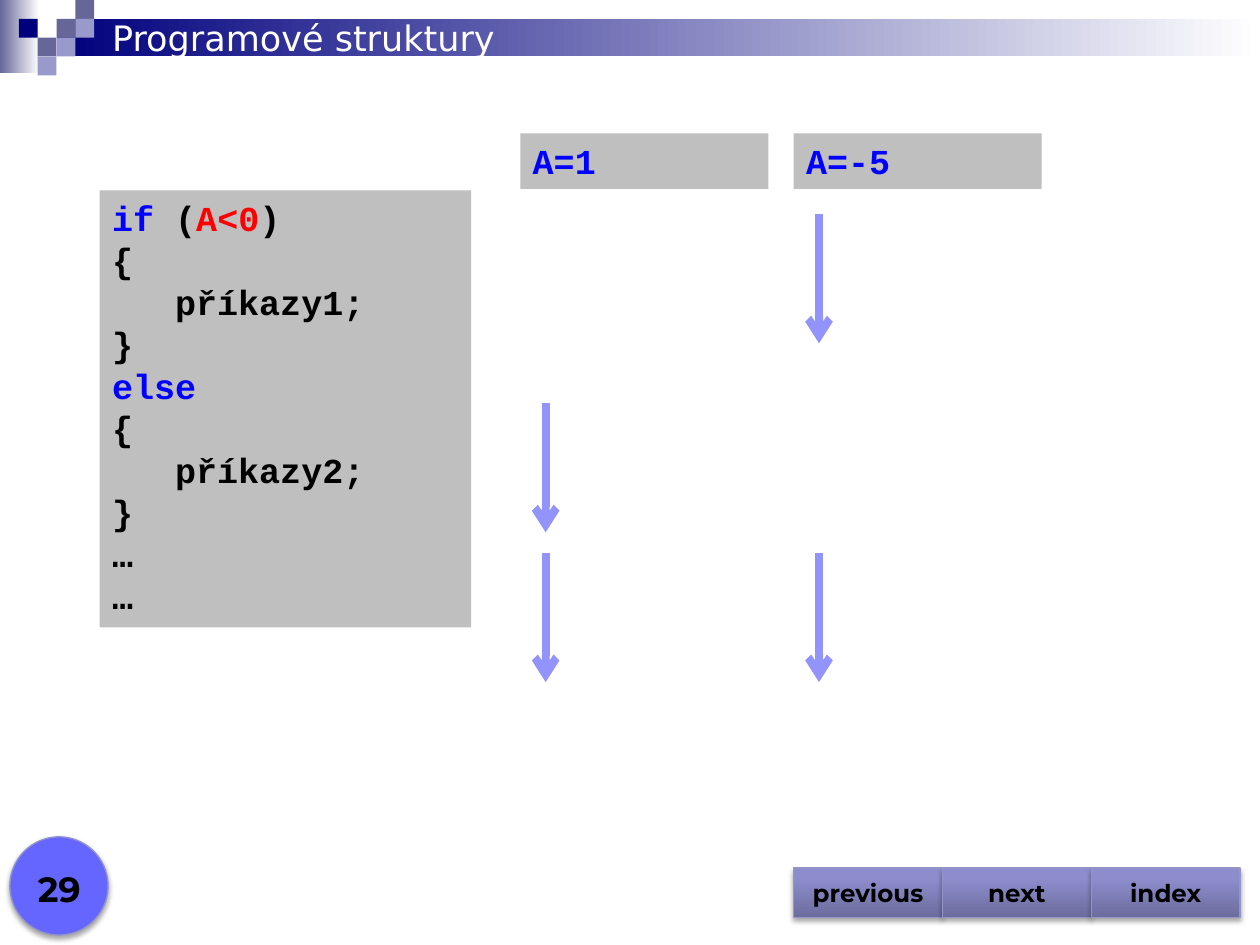
from copy import deepcopy
from dataclasses import dataclass

from lxml import etree
from pptx import Presentation
from pptx.dml.color import RGBColor
from pptx.enum.shapes import MSO_CONNECTOR, MSO_SHAPE
from pptx.enum.text import MSO_ANCHOR, PP_ALIGN
from pptx.oxml.ns import qn
from pptx.util import Cm, Pt

RECT, OVAL, BUTTON = MSO_SHAPE.RECTANGLE, MSO_SHAPE.OVAL, MSO_SHAPE.ACTION_BUTTON_CUSTOM
STRAIGHT = MSO_CONNECTOR.STRAIGHT
LEFT, CENTER = PP_ALIGN.LEFT, PP_ALIGN.CENTER
TOP, MIDDLE, BOTTOM = MSO_ANCHOR.TOP, MSO_ANCHOR.MIDDLE, MSO_ANCHOR.BOTTOM


@dataclass(frozen=True)
class Theme:
    navy: str = "00007D"
    slate: str = "666699"
    lilac: str = "9999CC"
    white: str = "FFFFFF"
    black: str = "000000"
    panel: str = "BFBFBF"
    keyword: str = "0000FF"
    condition: str = "FF0000"
    arrow: str = "9393FC"
    badge: str = "6565FF"
    edge: str = "9494C9"
    button: tuple = ((0, "6C6C9E"), (0.8, "8D8DCD"), (1, "8C8CCF"))
    code_font: str = "Courier New"
    title_font: str = "DejaVu Sans"
    label_font: str = "Montserrat"
    large: int = 20
    small: int = 14


class SlideBuilder:
    """Draws themed elements on one slide, with lengths in centimetres."""

    def __init__(self, slide, theme):
        self.shapes = slide.shapes
        self.theme = theme

    def block(self, box, fill, kind=RECT, raised=False, angle=0):
        block = self.shapes.add_shape(kind, *map(Cm, box))
        block.shadow.inherit = False
        if isinstance(fill, str):
            block.fill.solid()
            block.fill.fore_color.rgb = RGBColor.from_string(fill)
        else:
            self.gradient(block, fill, angle)
        if raised:
            block.line.color.rgb = RGBColor.from_string(self.theme.edge)
            block.line.width = Pt(0.75)
            self.drop_shadow(block)
        else:
            block.line.fill.background()
        return block

    def gradient(self, block, stops, angle):
        block.fill.gradient()
        block.fill.gradient_angle = angle
        stop_list = next(block.element.spPr.iter(qn("a:gsLst")))
        for _ in stops[2:]:
            stop_list.append(deepcopy(stop_list[-1]))
        for stop, (position, color) in zip(block.fill.gradient_stops, stops):
            stop.position = position
            stop.color.rgb = RGBColor.from_string(color)

    def drop_shadow(self, block):
        effects = block.element.spPr.find(qn("a:effectLst"))
        shadow = etree.SubElement(effects, qn("a:outerShdw"), blurRad=str(Pt(3.1)),
                                  dist=str(Pt(1.8)), dir="5400000", rotWithShape="0")
        color = etree.SubElement(shadow, qn("a:srgbClr"), val=self.theme.black)
        etree.SubElement(color, qn("a:alpha"), val="35000")

    def set_lines(self, holder, lines, font, size, bold=True, align=LEFT, anchor=TOP):
        frame = holder.text_frame
        frame.word_wrap = True
        frame.vertical_anchor = anchor
        for index, runs in enumerate(lines):
            paragraph = frame.add_paragraph() if index else frame.paragraphs[0]
            paragraph.alignment = align
            style = paragraph.font
            style.name, style.size, style.bold = font, Pt(size), bold
            if len(runs) == 1:
                style.color.rgb = RGBColor.from_string(runs[0][1])
            for text, color in runs:
                run = paragraph.add_run()
                run.text = text
                if len(runs) > 1:
                    run.font.color.rgb = RGBColor.from_string(color)

    def text(self, box, text, font, color, **style):
        holder = self.shapes.add_textbox(*map(Cm, box))
        self.set_lines(holder, [[(text, color)]], font, self.theme.large, **style)

    def code(self, box, lines):
        panel = self.block(box, self.theme.panel)
        self.set_lines(panel, lines, self.theme.code_font, self.theme.large)

    def button(self, box, label):
        button = self.block(box, self.theme.button, BUTTON, raised=True, angle=90)
        self.set_lines(button, [[(label, self.theme.black)]], self.theme.label_font,
                       self.theme.small, align=CENTER, anchor=MIDDLE)
        button.text_frame.margin_left = button.text_frame.margin_right = 0

    def down_arrow(self, x, top, length):
        arrow = self.shapes.add_connector(STRAIGHT, Cm(x), Cm(top), Cm(x), Cm(top + length))
        arrow.line.color.rgb = RGBColor.from_string(self.theme.arrow)
        arrow.line.width = Pt(4.5)
        properties = arrow.element.spPr
        etree.SubElement(properties.find(qn("a:ln")), qn("a:tailEnd"), type="arrow")
        etree.SubElement(properties, qn("a:effectLst"))


def main():
    deck = Presentation()
    deck.slide_width, deck.slide_height = Cm(25.4), Cm(19.05)
    theme = Theme()
    page = SlideBuilder(deck.slides.add_slide(deck.slide_layouts[6]), theme)

    page.block((0, 0, 0.79, 1.47), ((0, theme.slate), (1, theme.white)))
    page.block((1.14, 0.38, 24.26, 0.76), ((0, theme.navy), (1, theme.white)))
    tile = 0.38
    mosaic = {
        theme.slate: ((3, 1), (4, 0), (2, 2)),
        theme.lilac: ((4, 1), (3, 2), (2, 3)),
        theme.navy: ((1, 1),),
    }
    for color, cells in mosaic.items():
        for column, row in cells:
            page.block((column * tile, row * tile, tile, tile), color)
    page.text((2.01, 0.2, 21.59, 1.12), "Programové struktury", theme.title_font,
              theme.white, bold=False, anchor=MIDDLE)

    condition = [("if ", theme.keyword), ("(", theme.black),
                 ("A<0", theme.condition), (")", theme.black)]
    branches = ["{", "   příkazy1;", "}", "else", "{", "   příkazy2;", "}", "…", "…"]
    page.code((2.01, 3.84, 7.49, 8.81), [condition] + [
        [(line, theme.keyword if line == "else" else theme.black)] for line in branches])

    if_top, else_top, after_top = 4.32, 8.13, 11.15
    cases = ((10.49, "A=1", (else_top, after_top)), (16, "A=-5", (if_top, after_top)))
    for left, value, arrow_tops in cases:
        page.code((left, 2.69, 5, 1.12), [[(value, theme.keyword)]])
        for top in arrow_tops:
            page.down_arrow(left + 0.51, top, 2.6)

    button_width = 3
    for index, label in enumerate(("previous", "next", "index")):
        page.button((16 + index * button_width, 17.5, button_width, 0.99), label)
    page.block((0.2, 16.87, 1.98, 1.98), theme.badge, OVAL, raised=True)
    page.text((0, 17.2, 2.39, 1.27), "29", theme.label_font, theme.black,
              align=CENTER, anchor=BOTTOM)

    deck.save("out.pptx")


if __name__ == "__main__":
    main()
